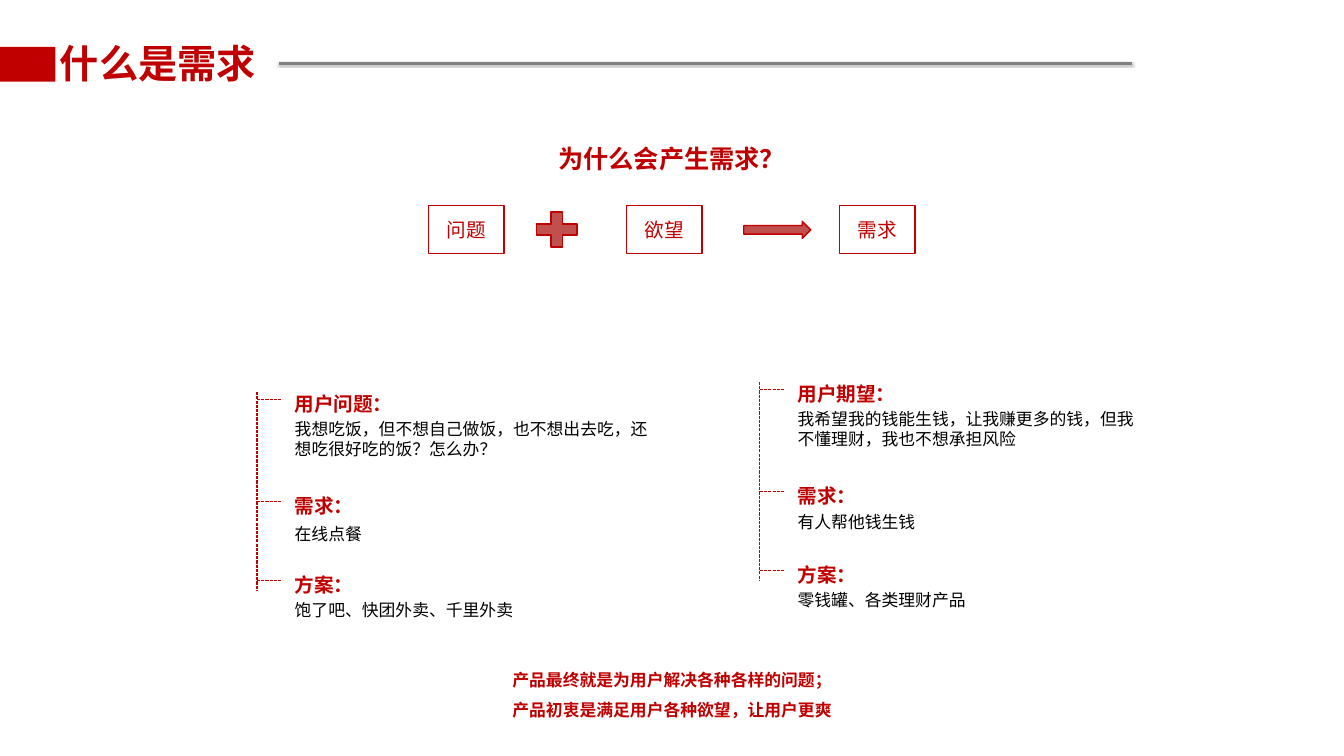
from dataclasses import dataclass

from lxml.etree import SubElement
from pptx import Presentation
from pptx.dml.color import RGBColor
from pptx.enum.dml import MSO_LINE
from pptx.enum.shapes import MSO_CONNECTOR, MSO_SHAPE
from pptx.enum.text import MSO_ANCHOR, MSO_AUTO_SIZE, PP_ALIGN
from pptx.oxml.ns import qn
from pptx.shapes.autoshape import Shape
from pptx.shapes.connector import Connector
from pptx.slide import Slide
from pptx.text.text import _Paragraph
from pptx.util import Inches, Pt

RED = RGBColor(0xC0, 0x00, 0x00)
BRICK = RGBColor(0xC0, 0x50, 0x4D)
GRAY = RGBColor(0x80, 0x80, 0x80)
BLACK = RGBColor(0x00, 0x00, 0x00)
HEADING_FONT = "Noto Sans CJK SC"
BODY_FONT = "Calibri"


@dataclass(frozen=True)
class Style:
    size: int
    font: str
    color: RGBColor
    bold: bool = False


@dataclass(frozen=True)
class Entry:
    label: str
    detail: str
    detail_top: float
    label_width: float
    detail_width: float
    detail_height: float = 0.5
    wrap: bool = False


@dataclass(frozen=True)
class Example:
    left: float
    top: float
    entries: tuple[Entry, ...]


TITLE = Style(56, HEADING_FONT, RED, True)
QUESTION = Style(36, HEADING_FONT, RED, True)
STEP = Style(28, HEADING_FONT, RED)
LABEL = Style(28, BODY_FONT, RED, True)
DETAIL = Style(24, BODY_FONT, BLACK)
CONCLUSION = Style(24, HEADING_FONT, RED, True)

SPINE_HEIGHT = 3.94
TICK_LENGTH = 0.47
TEXT_INDENT = 0.65
TICK_OFFSETS = (0.14, 2.17, 3.74)
LABEL_RISE = 0.2

EXAMPLES = (
    Example(5.1, 7.78, (
        Entry("用户问题：", "我想吃饭，但不想自己做饭，也不想出去吃，还想吃很好吃的饭？怎么办？",
              8.25, 2.15, 7.22, 0.91, True),
        Entry("需求：", "在线点餐", 10.34, 1.37, 1.53),
        Entry("方案：", "饱了吧、快团外卖、千里外卖", 11.84, 1.37, 4.53),
    )),
    Example(15.08, 7.58, (
        Entry("用户期望：", "我希望我的钱能生钱，让我赚更多的钱，但我不懂理财，我也不想承担风险",
              8.05, 2.15, 7, 0.91, True),
        Entry("需求：", "有人帮他钱生钱", 10.11, 1.37, 2.53),
        Entry("方案：", "零钱罐、各类理财产品", 11.66, 1.37, 3.53),
    )),
)
STEPS = ((8.5, "问题"), (12.43, "欲望"), (16.66, "需求"))


def style_paragraph(para: _Paragraph, style: Style) -> None:
    font = para.font
    font.size = Pt(style.size)
    font.bold = style.bold
    font.color.rgb = style.color
    font.name = style.font
    properties = para._p.get_or_add_pPr().find(qn("a:defRPr"))
    SubElement(properties, qn("a:ea"), typeface=style.font)


def add_text(page: Slide, left: float, top: float, width: float, height: float,
             lines: tuple[str, ...], style: Style, wrap: bool = False,
             align: PP_ALIGN = PP_ALIGN.LEFT, spacing: float = 1.0) -> None:
    box = page.shapes.add_textbox(Inches(left), Inches(top), Inches(width), Inches(height))
    frame = box.text_frame
    frame.word_wrap = wrap
    frame.auto_size = MSO_AUTO_SIZE.SHAPE_TO_FIT_TEXT
    frame.text = "\n".join(lines)
    for para in frame.paragraphs:
        para.alignment = align
        para.line_spacing = spacing
        style_paragraph(para, style)


def add_shape(page: Slide, kind: MSO_SHAPE, left: float, top: float, width: float,
              height: float, fill: RGBColor | None, line_width: float) -> Shape:
    shape = page.shapes.add_shape(kind, Inches(left), Inches(top), Inches(width), Inches(height))
    shape.shadow.inherit = False
    if fill is None:
        shape.fill.background()
    else:
        shape.fill.solid()
        shape.fill.fore_color.rgb = fill
    if line_width:
        shape.line.color.rgb = RED
        shape.line.width = Pt(line_width)
    else:
        shape.line.fill.background()
    return shape


def add_line(page: Slide, left: float, top: float, right: float, bottom: float,
             color: RGBColor, width: float) -> Connector:
    line = page.shapes.add_connector(
        MSO_CONNECTOR.STRAIGHT, Inches(left), Inches(top), Inches(right), Inches(bottom))
    line.line.color.rgb = color
    line.line.width = Pt(width)
    SubElement(line._element.spPr, qn("a:effectLst"))
    return line


def add_dashed_line(page: Slide, left: float, top: float, right: float, bottom: float) -> None:
    add_line(page, left, top, right, bottom, RED, 1.5).line.dash_style = MSO_LINE.SQUARE_DOT


def add_line_shadow(line: Connector) -> None:
    effects = line._element.spPr.find(qn("a:effectLst"))
    shadow = SubElement(effects, qn("a:outerShdw"), blurRad=str(Pt(3.1)),
                        dist=str(Pt(1.8)), dir="5400000", rotWithShape="0")
    color = SubElement(shadow, qn("a:srgbClr"), val=str(BLACK))
    SubElement(color, qn("a:alpha"), val="35000")


def add_header(page: Slide) -> None:
    add_shape(page, MSO_SHAPE.RECTANGLE, 0, 0.93, 1.1, 0.69, RED, 0)
    add_text(page, 1.09, 0.74, 4.44, 1.04, ("什么是需求",), TITLE, wrap=True)
    add_line_shadow(add_line(page, 5.53, 1.26, 22.46, 1.26, GRAY, 3))


def add_step(page: Slide, left: float, text: str) -> None:
    step = add_shape(page, MSO_SHAPE.RECTANGLE, left, 4.08, 1.5, 0.95, None, 2.25)
    frame = step.text_frame
    frame.vertical_anchor = MSO_ANCHOR.MIDDLE
    frame.text = text
    para = frame.paragraphs[0]
    para.alignment = PP_ALIGN.CENTER
    style_paragraph(para, STEP)


def add_equation(page: Slide) -> None:
    for left, text in STEPS:
        add_step(page, left, text)
    add_shape(page, MSO_SHAPE.MATH_PLUS, 10.5, 4.08, 1.1, 0.95, BRICK, 2)
    add_shape(page, MSO_SHAPE.RIGHT_ARROW, 14.76, 4.39, 1.33, 0.34, BRICK, 2)


def add_example(page: Slide, example: Example) -> None:
    left, top = example.left, example.top
    text_left = left + TEXT_INDENT
    add_dashed_line(page, left, top, left, top + SPINE_HEIGHT)
    for offset, entry in zip(TICK_OFFSETS, example.entries):
        tick = top + offset
        add_dashed_line(page, left, tick, left + TICK_LENGTH, tick)
        add_text(page, text_left, tick - LABEL_RISE, entry.label_width, 0.57,
                 (entry.label,), LABEL)
        add_text(page, text_left, entry.detail_top, entry.detail_width,
                 entry.detail_height, (entry.detail,), DETAIL, entry.wrap)


def main() -> None:
    deck = Presentation()
    deck.slide_width = Inches(26.67)
    deck.slide_height = Inches(15)
    page = deck.slides.add_slide(deck.slide_layouts[6])
    add_header(page)
    add_text(page, 10.98, 2.8, 4.7, 0.71, ("为什么会产生需求？",), QUESTION)
    for example in EXAMPLES:
        add_example(page, example)
    add_text(page, 10.07, 13.03, 6.53, 1.31,
             ("产品最终就是为用户解决各种各样的问题；", "产品初衷是满足用户各种欲望，让用户更爽"),
             CONCLUSION, align=PP_ALIGN.CENTER, spacing=1.5)
    add_equation(page)
    deck.save("out.pptx")


if __name__ == "__main__":
    main()
